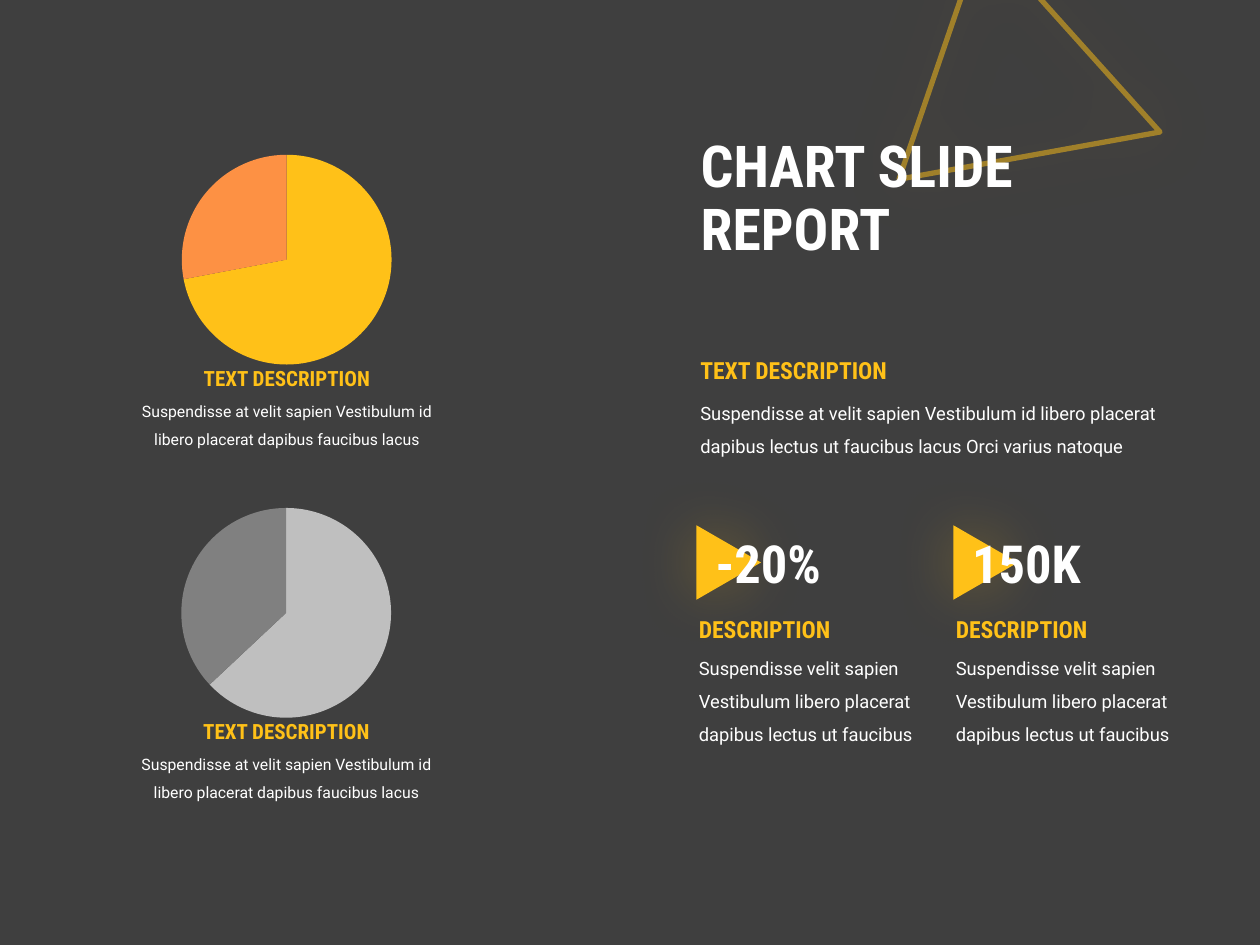
from lxml.etree import SubElement
from pptx import Presentation
from pptx.chart.data import CategoryChartData
from pptx.dml.color import RGBColor
from pptx.enum.chart import XL_CHART_TYPE
from pptx.enum.shapes import MSO_SHAPE
from pptx.enum.text import MSO_ANCHOR, MSO_AUTO_SIZE, PP_ALIGN
from pptx.oxml.ns import qn
from pptx.util import Cm, Pt

DARK, GOLD, WHITE = "3F3F3F", "FFC118", "FFFFFF"
HEAD, BODY = "Roboto Condensed", "Roboto"


def color(code):
    return RGBColor.from_string(code)


def box(*sizes):
    return [Cm(size) for size in sizes]


def fade(fill, percent):
    """Set the opacity of a solid fill."""
    node = fill._xPr.find(qn("a:solidFill"))[0]
    SubElement(node, qn("a:alpha"), val=str(percent * 1000))


def glow(shape):
    """Give a shape a soft gold shadow with no offset."""
    effects = shape._element.spPr.find(qn("a:effectLst"))
    shade = SubElement(effects, qn("a:outerShdw"), blurRad=str(Pt(35)),
                       dist="0", dir="0", algn="ctr", rotWithShape="0")
    tint = SubElement(shade, qn("a:srgbClr"), val=GOLD)
    SubElement(tint, qn("a:alpha"), val="25000")


def fill_text(frame, text, size=10.5, font=BODY, tint=WHITE, bold=False,
              align=PP_ALIGN.LEFT, space=None):
    frame.word_wrap = True
    frame.text = text
    for para in frame.paragraphs:
        para.alignment = align
        para.line_spacing = space
        para.font.size = Pt(size)
        para.font.name = font
        para.font.bold = bold
        para.font.color.rgb = color(tint)


def add_text(slide, area, text, **style):
    frame = slide.shapes.add_textbox(*box(*area)).text_frame
    fill_text(frame, text, **style)
    frame.auto_size = MSO_AUTO_SIZE.SHAPE_TO_FIT_TEXT


def add_shape(slide, kind, area, fill=None, turn=0):
    shape = slide.shapes.add_shape(kind, *box(*area))
    shape.shadow.inherit = False
    shape.rotation = turn
    shape.line.fill.background()
    if fill:
        shape.fill.solid()
        shape.fill.fore_color.rgb = color(fill)
    else:
        shape.fill.background()
    return shape


def add_pie(slide, left, top, values, tints):
    """Pie chart with a heading and a caption below it."""
    data = CategoryChartData()
    data.categories = ["1", "2"]
    data.add_series("Series 1", values)
    chart = slide.shapes.add_chart(
        XL_CHART_TYPE.PIE, *box(left, top, 6.6, 4.93), data).chart
    chart.has_title = False
    chart.has_legend = False
    chart.font.size = Pt(10)
    chart.font.name = BODY
    chart.font.color.rgb = color(WHITE)
    plot = chart.plots[0]
    plot.vary_by_categories = True
    for index, tint in enumerate(tints):
        look = plot.series[0].points[index].format
        look.fill.solid()
        look.fill.fore_color.rgb = color(tint)
        look.line.fill.background()
    add_text(slide, (left, top + 5.01, 6.6, 1.35),
             "Suspendisse at velit sapien Vestibulum id libero placerat "
             "dapibus faucibus lacus",
             size=9, align=PP_ALIGN.CENTER, space=1.5)
    add_text(slide, (left + 0.97, top + 4.47, 4.67, 0.76), "TEXT DESCRIPTION",
             size=12, font=HEAD, tint=GOLD, bold=True, align=PP_ALIGN.CENTER)


def add_head(slide, left, top, text):
    add_text(slide, (left, top, 4.67, 0.84), text,
             size=13.5, font=HEAD, tint=GOLD, bold=True)


def add_stat(slide, left, value):
    """Key figure over a glowing arrow, with heading and text."""
    glow(add_shape(slide, MSO_SHAPE.ISOSCELES_TRIANGLE,
                   (left + 0.1, 10.69, 1.5, 1.3), fill=GOLD, turn=90))
    add_text(slide, (left, 12.9, 5.36, 2.21),
             "Suspendisse velit sapien Vestibulum libero placerat "
             "dapibus lectus ut faucibus", space=1.5)
    add_head(slide, left, 12.27, "DESCRIPTION")
    add_text(slide, (left + 0.33, 10.59, 3.4, 1.55), value,
             size=30, font=HEAD, bold=True)


def main():
    deck = Presentation()
    deck.slide_width, deck.slide_height = box(25.4, 19.05)
    slide = deck.slides.add_slide(deck.slide_layouts[5])
    back = slide.background.fill
    back.solid()
    back.fore_color.rgb = color(DARK)

    # Title
    title = slide.shapes.title
    title.left, title.top, title.width, title.height = box(
        13.87, 2.03, 10.72, 4.01)
    fill_text(title.text_frame, "CHART SLIDE\vREPORT", size=33, font=HEAD,
              bold=True, space=0.9)
    title.text_frame.vertical_anchor = MSO_ANCHOR.MIDDLE
    title.text_frame.auto_size = MSO_AUTO_SIZE.NONE

    # Outlined triangle behind the title
    frame = add_shape(slide, MSO_SHAPE.ISOSCELES_TRIANGLE,
                      (18.57, -0.43, 5.21, 4.67), turn=108.9)
    frame.line.width = Pt(3)
    frame.line.color.rgb = color(GOLD)
    fade(frame.line.fill, 50)
    glow(frame)
    title._element.addprevious(frame._element)

    # Left panel with pies
    panel = add_shape(slide, MSO_SHAPE.RECTANGLE, (0, 0.03, 11.56, 19.02),
                      fill=DARK)
    fade(panel.fill, 90)
    add_pie(slide, 2.48, 2.77, (72, 28), (GOLD, "FD9144"))
    add_pie(slide, 2.47, 9.89, (63, 37), ("BFBFBF", "808080"))

    # Right column
    add_text(slide, (13.87, 7.77, 9.78, 1.52),
             "Suspendisse at velit sapien Vestibulum id libero placerat "
             "dapibus lectus ut faucibus lacus Orci varius natoque", space=1.5)
    add_head(slide, 13.87, 7.06, "TEXT DESCRIPTION")
    add_stat(slide, 13.84, "-20%")
    add_stat(slide, 19.02, "150K")

    deck.save("out.pptx")


if __name__ == "__main__":
    main()
